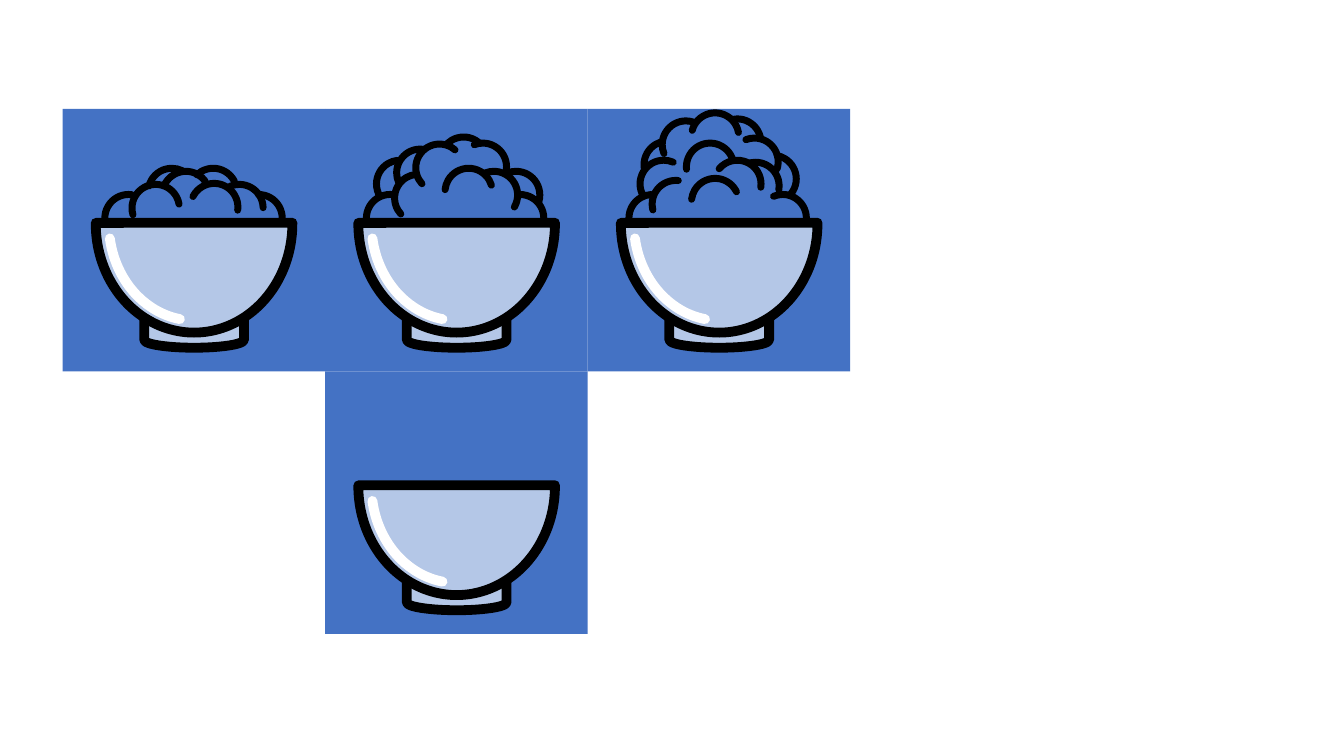
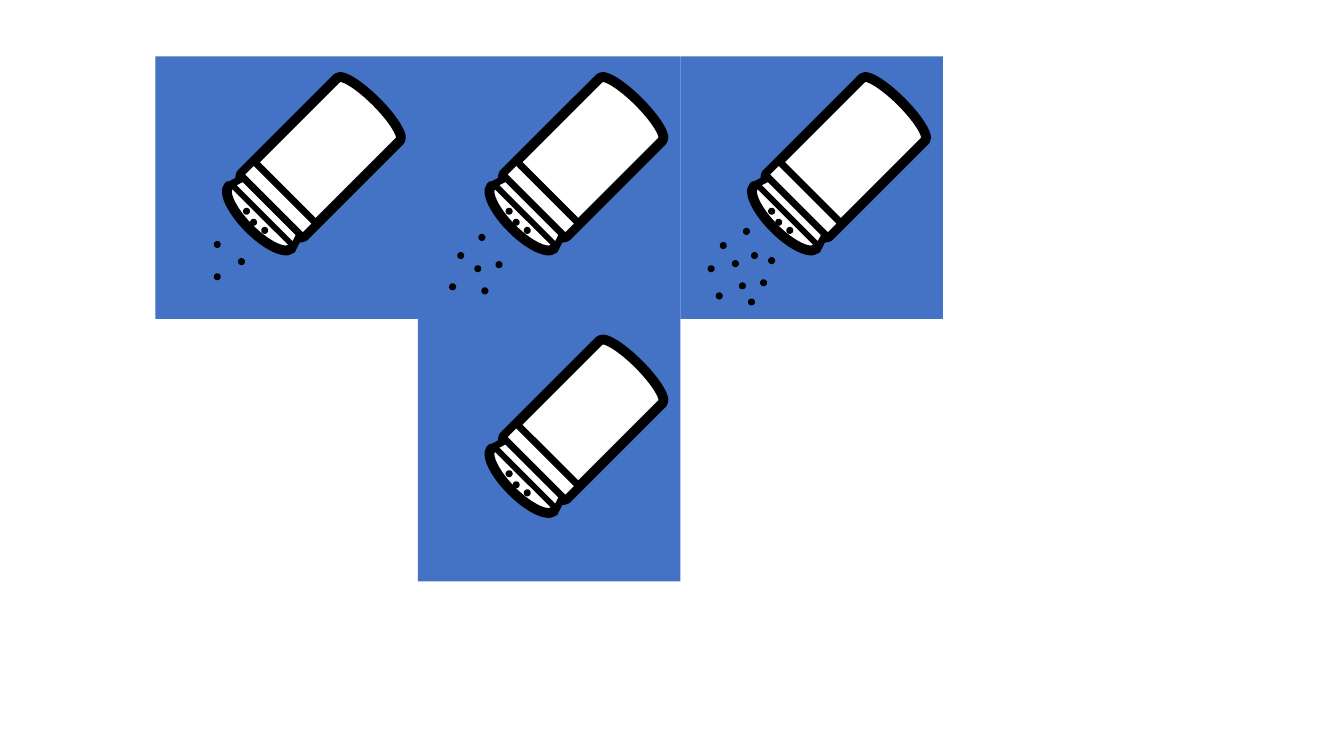
from pptx import Presentation
from pptx.dml.color import RGBColor
from pptx.enum.shapes import MSO_SHAPE
from pptx.oxml.ns import qn
from pptx.util import Inches, Pt
from lxml.etree import SubElement

BLUE = RGBColor(0x44, 0x72, 0xC4)
PALE = RGBColor(0xB4, 0xC7, 0xE7)
WHITE = RGBColor(0xFF, 0xFF, 0xFF)
BLACK = RGBColor(0, 0, 0)
TILE = 250 / 96
GRAIN = 0.47
DOT = 0.07
THICK = 7
THIN = 5


def draw(parent, kind, left, top, width, height, fill=None, line=None,
         weight=THICK, rotation=0, adjust=(), angles=()):
    shape = parent.shapes.add_shape(kind, Inches(left), Inches(top), Inches(width), Inches(height))
    shape.shadow.inherit = False
    shape.rotation = rotation
    values = list(adjust) + [angle * 0.6 for angle in angles]
    for index, value in enumerate(values):
        shape.adjustments[index] = value
    if fill is None:
        shape.fill.background()
    else:
        shape.fill.solid()
        shape.fill.fore_color.rgb = fill
    if line is None:
        shape.line.fill.background()
    else:
        shape.line.color.rgb = line
        shape.line.width = Pt(weight)
        outline = shape.line._get_or_add_ln()
        outline.set("cap", "rnd")
        SubElement(outline, qn("a:round"))
    return shape


small_heap = [
    (1.71, 0.85, 270, 0), (1.27, 0.74, 206.5, 7.4), (1.52, 0.75, 246.9, 359.1),
    (0.42, 0.85, 175.3, 277.7), (0.69, 0.75, 163.7, 350.3), (0.85, 0.59, 194.9, 296.5),
    (1.26, 0.59, 226.5, 333.6), (0.99, 0.62, 208.4, 324.3),
]
medium_heap = [
    (1.7, 0.85, 270, 0), (1.44, 0.62, 248.8, 30.5), (1.66, 0.62, 248.8, 17.4),
    (1.33, 0.34, 248.8, 17.4), (0.41, 0.85, 175.3, 277.7), (0.69, 0.65, 137.6, 263.5),
    (0.51, 0.51, 150.3, 263.5), (0.9, 0.35, 137.6, 310.9), (1.14, 0.28, 226.5, 310.9),
    (1.19, 0.59, 185.7, 343.2), (0.71, 0.4, 155.9, 279.3),
]
large_heap = [
    (1.7, 0.85, 247.4, 0), (1.6, 0.46, 281.1, 39.7), (1.25, 0.51, 219.9, 7.9),
    (1.42, 0.29, 248.8, 17.4), (0.41, 0.85, 175.3, 266.8), (1.25, 0.1, 257.9, 345.8),
    (0.52, 0.51, 150.3, 293.5), (0.74, 0.12, 157.9, 289.1), (0.64, 0.71, 165.8, 275.9),
    (0.56, 0.32, 171.9, 251.7), (0.98, 0.34, 174.1, 343.9), (1.43, 0.53, 257, 9.4),
    (1.03, 0.69, 186.8, 334.2), (1.03, 0.04, 195.2, 350),
]
small_pinch = [(0.82, 2), (0.58, 1.83), (0.58, 2.15)]
medium_pinch = [(0.6, 1.76), (0.77, 2.03), (0.31, 2.25), (0.63, 2.29), (0.39, 1.94), (0.56, 2.07)]
large_pinch = [
    (0.87, 1.99), (0.39, 1.84), (0.58, 2.24), (0.79, 2.21), (0.51, 2.02),
    (0.62, 1.7), (0.27, 2.07), (0.7, 1.94), (0.35, 2.34), (0.67, 2.4),
]
cap_holes = [(1.05, 1.69), (0.87, 1.5), (0.94, 1.61)]
cells = [(0, 0), (1, 0), (2, 0), (1, 1)]

deck = Presentation()
deck.slide_width = Inches(13.33)
deck.slide_height = Inches(7.5)

bowl_page = deck.slides.add_slide(deck.slide_layouts[6])
for (column, row), heap in zip(cells, [small_heap, medium_heap, large_heap, []]):
    left = 0.62 + column * TILE
    top = 1.08 + row * TILE
    draw(bowl_page, MSO_SHAPE.RECTANGLE, left, top, TILE, TILE, fill=BLUE)
    if heap:
        rice = bowl_page.shapes.add_group_shape()
        for x, y, start, end in heap:
            draw(rice, MSO_SHAPE.ARC, left + x, top + y, GRAIN, GRAIN,
                 line=BLACK, weight=THIN, angles=(start, end))
    bowl = bowl_page.shapes.add_group_shape()
    draw(bowl, MSO_SHAPE.FLOWCHART_MAGNETIC_DISK, left + 0.81, top + 1.9, 0.99, 0.47,
         fill=PALE, line=BLACK)
    draw(bowl, MSO_SHAPE.CHORD, left + 0.33, top + 0.06, 1.95, 2.16,
         fill=PALE, line=BLACK, angles=(359.4, 180.5))
    draw(bowl, MSO_SHAPE.ARC, left + 0.46, top + 0.18, 1.7, 1.92,
         line=WHITE, angles=(98.7, 170.2))

shaker_page = deck.slides.add_slide(deck.slide_layouts[6])
for (column, row), pinch in zip(cells, [small_pinch, medium_pinch, large_pinch, []]):
    left = 1.54 + column * TILE
    top = 0.56 + row * TILE
    draw(shaker_page, MSO_SHAPE.RECTANGLE, left, top, TILE, TILE, fill=BLUE)
    shaker = shaker_page.shapes.add_group_shape()
    draw(shaker, MSO_SHAPE.CAN, left + 1.2, top + 0.22, 0.88, 1.56,
         fill=WHITE, line=BLACK, rotation=225, adjust=[0.239])
    draw(shaker, MSO_SHAPE.TRAPEZOID, left + 0.67, top + 1.46, 0.88, 0.14,
         fill=WHITE, line=BLACK, weight=THIN, rotation=45, adjust=[0.323])
    draw(shaker, MSO_SHAPE.ROUNDED_RECTANGLE, left + 0.78, top + 1.32, 0.88, 0.19,
         fill=WHITE, line=BLACK, weight=THIN, rotation=225)
    draw(shaker, MSO_SHAPE.ARC, left + 0.6, top + 1.44, 0.88, 0.31,
         fill=WHITE, line=BLACK, rotation=225, angles=(179.8, 0))
    for parent, dots in [(shaker, cap_holes), (shaker_page, pinch)]:
        for x, y in dots:
            draw(parent, MSO_SHAPE.OVAL, left + x, top + y, DOT, DOT, fill=BLACK, rotation=225)

deck.save("out.pptx")
